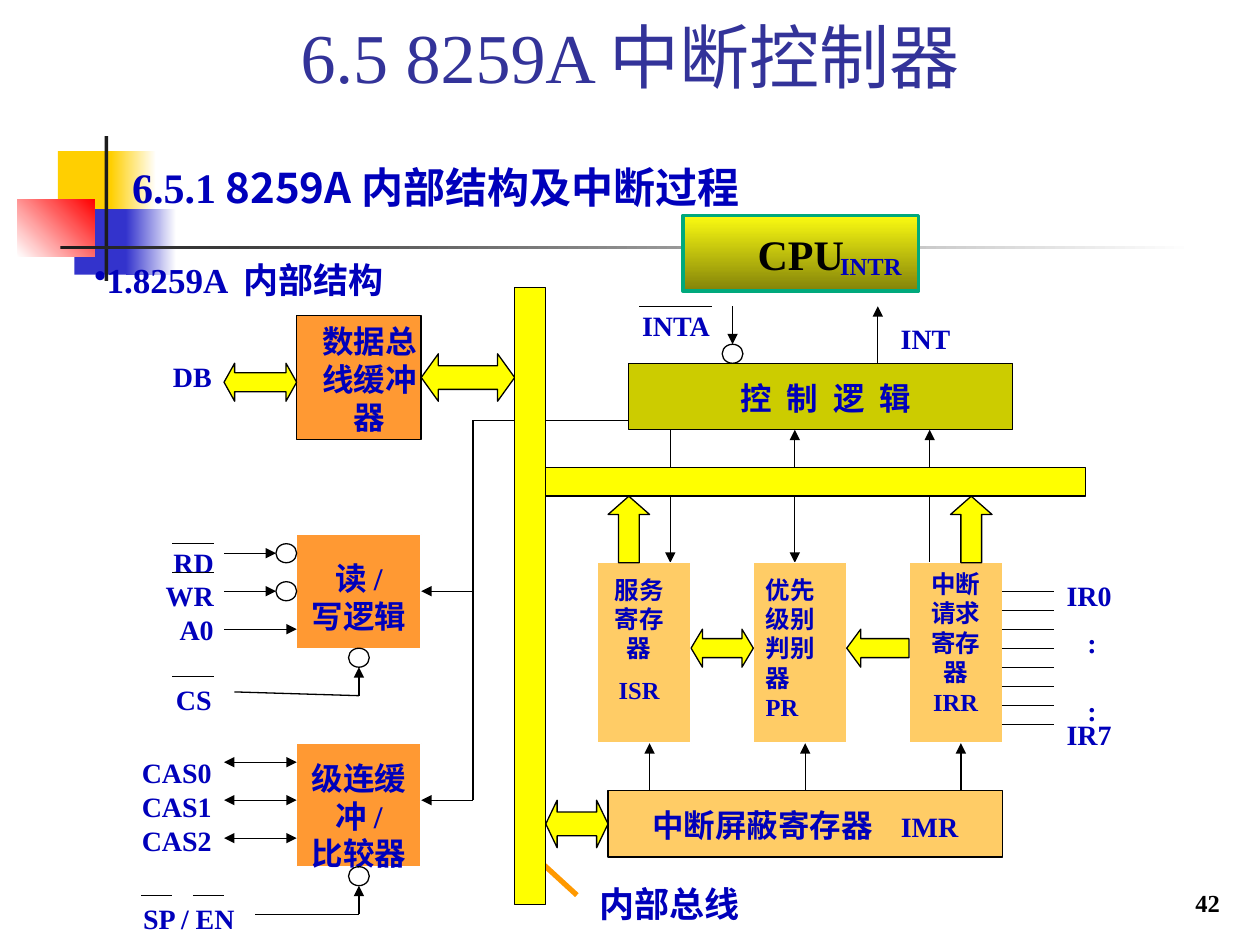
from dataclasses import dataclass
from typing import Any
from lxml.etree import SubElement
from pptx import Presentation
from pptx.dml.color import RGBColor
from pptx.enum.shapes import MSO_CONNECTOR, MSO_SHAPE
from pptx.enum.text import MSO_ANCHOR, PP_ALIGN
from pptx.oxml.ns import qn
from pptx.util import Inches, Pt

WIDE, HIGH = 10, 7.5
COL, ROW = 4.53 / 55, 4.9 / 65
WHITE = RGBColor(0xFF, 0xFF, 0xFF)
BLACK = RGBColor(0, 0, 0)
INK = RGBColor(0x1C, 0x1C, 0x1C)
NAVY = RGBColor(0x33, 0x33, 0x99)
BLUE = RGBColor(0x33, 0x33, 0xCC)
TEXT = RGBColor(0, 0, 0xBB)
GOLD = RGBColor(0xFF, 0xCF, 0x01)
RED = RGBColor(0xFF, 0, 0)
YELLOW = RGBColor(0xFF, 0xFF, 0)
OLIVE = RGBColor(0xCC, 0xCC, 0)
SAND = RGBColor(0xFF, 0xCC, 0x66)
ORANGE = RGBColor(0xFF, 0x99, 0x33)
AMBER = RGBColor(0xFF, 0x99, 0)
LEMON = RGBColor(0xFB, 0xFB, 0x11)
MOSS = RGBColor(0x83, 0x83, 0x09)
GREEN = RGBColor(0, 0xA9, 0x7C)
SERIF, SANS = "Times New Roman", "Noto Sans CJK SC"
LEFT, MID, RIGHT = PP_ALIGN.LEFT, PP_ALIGN.CENTER, PP_ALIGN.RIGHT
RECT, OVAL = MSO_SHAPE.RECTANGLE, MSO_SHAPE.OVAL
BOTH, BACK, UP = MSO_SHAPE.LEFT_RIGHT_ARROW, MSO_SHAPE.LEFT_ARROW, MSO_SHAPE.UP_ARROW


@dataclass
class Box:
    slide: Any
    left: float
    top: float
    col: float = COL
    row: float = ROW

    def sub(self, c, r):
        return Box(self.slide, self.left + c * self.col, self.top + r * self.row, self.col, self.row)

    def spot(self, c, r):
        return Inches(self.left + c * self.col), Inches(self.top + r * self.row)

    def area(self, c, r, w, h):
        return *self.spot(c, r), Inches(w * self.col), Inches(h * self.row)

    def shape(self, kind, c, r, w, h, fill=None, edge=BLACK, head=None, fade=None, turn=0, thick=0.75):
        shape = self.slide.shapes.add_shape(kind, *self.area(c, r, w, h))
        shape.shadow.inherit = False
        if fade:
            shape.fill.gradient()
            shape.fill.gradient_angle = turn
            for stop, tint in zip(shape.fill.gradient_stops, (fill, fade)):
                stop.color.rgb = tint
        elif fill is not None:
            shape.fill.solid()
            shape.fill.fore_color.rgb = fill
        else:
            shape.fill.background()
        if edge is None:
            shape.line.fill.background()
        else:
            shape.line.color.rgb = edge
            shape.line.width = Pt(thick)
        if head:
            shape.adjustments[0], shape.adjustments[1] = 0.5, head
        return shape

    def line(self, c, r, c2, r2, ends="", tint=BLACK, thick=0.75):
        line = self.slide.shapes.add_connector(MSO_CONNECTOR.STRAIGHT, *self.spot(c, r), *self.spot(c2, r2))
        line.line.color.rgb = tint
        line.line.width = Pt(thick)
        props = line._element.spPr
        for mark, tag in (("<", "a:headEnd"), (">", "a:tailEnd")):
            if mark in ends:
                SubElement(props.find(qn("a:ln")), qn(tag)).set("type", "triangle")
        SubElement(props, qn("a:effectLst"))

    def text(self, c, r, w, h, words, size=16, align=LEFT):
        frame = self.slide.shapes.add_textbox(*self.area(c, r, w, h)).text_frame
        frame.word_wrap = True
        write(frame.paragraphs[0], words, size, align)
        return frame


def write(para, words, size, align=LEFT, tint=TEXT, bold=True):
    para.alignment = align
    para.font.size, para.font.bold = Pt(size), bold
    para.font.color.rgb = tint
    if isinstance(words, str):
        para.text = words
        para.font.name = SERIF
        return
    for part, face in words:
        run = para.add_run()
        run.text, run.font.name = part, face


def backdrop(box):
    for c, r, w, h, fill, fade, turn in (
        (4.6, 16, 4.8, 6.93, GOLD, None, 0),
        (8.8, 16, 3.6, 6.93, GOLD, WHITE, 0),
        (5.9, 22.13, 4.6, 6.93, BLUE, None, 0),
        (10, 22.13, 4, 6.93, BLUE, WHITE, 0),
        (1.4, 21.07, 6.1, 6.13, WHITE, RED, 45),
        (8.3, 14.4, 0.3, 15.33, INK, None, 0),
        (4.8, 26, 90, 0.4, INK, WHITE, 0),
    ):
        box.shape(RECT, c, r, w, h, fill, None, fade=fade, turn=turn)


def titles(box):
    frame = box.shape(RECT, 0, 0, 100, 11.73, WHITE, None).text_frame
    frame.vertical_anchor = MSO_ANCHOR.MIDDLE
    write(frame.paragraphs[0], (("6.5 8259A ", SERIF), ("中断控制器", "Roboto")), 40, MID, NAVY, False)
    words = ("6.5.1", SERIF), (" 8259A ", SANS), ("内部结构及中断过程", "Arial")
    frame = box.text(9.5, 14.53, 52.3, 8.53, words, 24)
    frame.paragraphs[0].line_spacing = 1.35
    frame = box.text(6.5, 27.2, 26.6, 5.33, "", 20)
    frame.word_wrap = False
    para = frame.paragraphs[0]
    para.line_spacing = 0.9
    SubElement(para._p.get_or_add_pPr(), qn("a:buChar")).set("char", "•")
    para.font.name = SERIF
    write(para, (("1.8259A  ".rstrip() + " ", SERIF), (" 内部结构", SANS)), 20)
    frame = box.text(77, 91.07, 20.8, 6.67, "42", 14, RIGHT)
    frame.vertical_anchor = MSO_ANCHOR.BOTTOM
    frame.paragraphs[0].font.color.rgb = BLACK


def host(box):
    chip = box.shape(RECT, 0, 0, 18.7, 8, LEMON, GREEN, fade=MOSS, turn=270, thick=2)
    chip.text_frame.vertical_anchor = MSO_ANCHOR.MIDDLE
    write(chip.text_frame.paragraphs[0], "CPU", 24, MID, BLACK)
    box.text(11.5, 3.07, 7.4, 4.93, "INTR", 14)


def buffer(box):
    box.shape(RECT, 16, 0, 12, 13, ORANGE)
    box.shape(BOTH, 28, 4, 9, 5, YELLOW, head=0.36)
    box.shape(BOTH, 9, 5, 7, 4, YELLOW, head=0.28)
    box.text(16, 0, 14, 13.4, "数据总线缓冲器", 18, MID)
    box.text(0, 4, 9, 5, "DB", 16, RIGHT)


def access(box):
    box.shape(RECT, 19, 0, 12, 12, ORANGE, WHITE)
    box.text(19, 2, 12, 9.4, "读 /\v写逻辑", 18, MID)
    for r, end in ((2, 17), (6, 17), (10, 19)):
        box.line(12, r, end, r, ">")
    for c, r in ((17, 1), (17, 5), (24, 12)):
        box.shape(OVAL, c, r, 2, 2)
    box.line(25, 14, 25, 17, "<")
    box.line(25, 17, 13, 16.6)
    box.text(4, 0.5, 8.2, 12, "RD\vWR\vA0", 16, RIGHT)
    box.text(0, 15, 12, 5, "CS", 16, RIGHT)
    for r in (1, 4, 15):
        box.line(7, r, 11, r)


def cascade(box):
    box.shape(RECT, 19, 0, 12, 13, ORANGE, WHITE)
    box.text(19, 1, 12, 13.4, "级连缓\v冲 /\v比较器", 18, MID)
    for r in (2, 6, 10):
        box.line(12, r, 19, r, "<>")
    box.shape(OVAL, 24, 13, 2, 2)
    box.line(25, 15, 25, 18, "<")
    box.line(25, 18, 15, 18)
    box.text(2, 0.7, 10, 12, "CAS0\vCAS1\vCAS2", 16, RIGHT)
    box.text(3, 16, 12, 5, "SP / EN")
    for c in (4, 9):
        box.line(c, 16, c + 3, 16)


def control(box):
    box.shape(RECT, 4, 6, 37, 7, OLIVE)
    frame = box.text(8, 7, 30, 5.3, (("控 制 逻 辑", SERIF),), 18, MID)
    frame.paragraphs[0].runs[0].font._element.set("spc", "225")
    box.shape(OVAL, 13, 4, 2, 2)
    box.line(14, 0, 14, 4, ">")
    box.line(28, 6, 28, 0, ">")
    box.text(0, -0.4, 13, 5, "INTA", 16, RIGHT)
    box.line(5, 0, 12, 0)
    box.text(29, 1, 9, 5, "INT")
    for c, ends in ((8, ""), (20, "<"), (33, "<")):
        box.line(c, 13, c, 17, ends)
    for c, ends in ((8, ">"), (20, ">"), (33, "")):
        box.line(c, 20, c, 27, ends)


def ranks(box):
    for c in (0, 15, 30):
        box.shape(RECT, c, 0, 9, 19, SAND, WHITE)
        box.line(c + 5, 24, c + 5, 19, ">")
    box.shape(BOTH, 9, 7, 6, 4, YELLOW, head=0.3)
    box.shape(BACK, 24, 7, 6, 4, YELLOW, head=0.37)
    for c in (1, 34):
        box.shape(UP, c, -7, 4, 7, YELLOW, head=0.44)
    frame = box.text(0, 0.6, 8, 15.4, "服务寄存器", 14, MID)
    para = frame.add_paragraph()
    write(para, "ISR", 14, MID)
    para.space_before = Pt(7)
    box.text(15, 0.6, 8, 14, "优先级别判别器\vPR", 14)
    box.text(30, 0, 9, 14, "中断请求寄存器\vIRR", 14, MID)
    for step in range(8):
        box.line(39, 3 + 2 * step, 44, 3 + 2 * step)
    for c, r, w, words in ((44, 1, 8, "IR0"), (46, 6, 3, ":\v:"), (44, 15.6, 8, "IR7")):
        box.text(c, r, w, 5, words)


def mask(box):
    box.shape(RECT, 6, 0, 38, 7, SAND)
    box.shape(BOTH, 0, 1, 6, 5, YELLOW, head=0.24)
    words = ("中断屏蔽寄存器", SERIF), (" ", SERIF), ("IMR", SERIF)
    runs = box.text(6, 1, 38, 5.3, words, 18, MID).paragraphs[0].runs
    runs[1].font._element.set("spc", "1200")
    runs[2].font.size = Pt(16)


def bus(box):
    box.line(11, 14, 3, 14)
    box.line(1, 14, -4, 14)
    box.line(-4, 14, -4, 54)
    for r in (32, 54):
        box.line(-4, r, -9, r, ">")
    box.text(7, 62, 31, 6, "内部总线", 20)
    box.line(6, 64, 2, 60, tint=AMBER, thick=3)
    box.shape(RECT, 0, 19, 55, 3, YELLOW)
    box.shape(RECT, 0, 0, 3, 65, YELLOW)


def main():
    deck = Presentation()
    deck.slide_width, deck.slide_height = Inches(WIDE), Inches(HIGH)
    slide = deck.slides.add_slide(deck.slide_layouts[6])
    page = Box(slide, 0, 0, WIDE / 100, HIGH / 100)
    backdrop(page)
    titles(page)
    grid = Box(slide, 0.79, 2.28)
    for draw, c, r in (
        (buffer, 3, 3), (access, 0, 26), (cascade, 0, 48), (control, 47, 2),
        (ranks, 48, 29), (mask, 43, 53), (bus, 40, 0),
    ):
        draw(grid.sub(c, r))
    host(page.sub(54.2, 22.8))
    deck.save("out.pptx")


if __name__ == "__main__":
    main()
